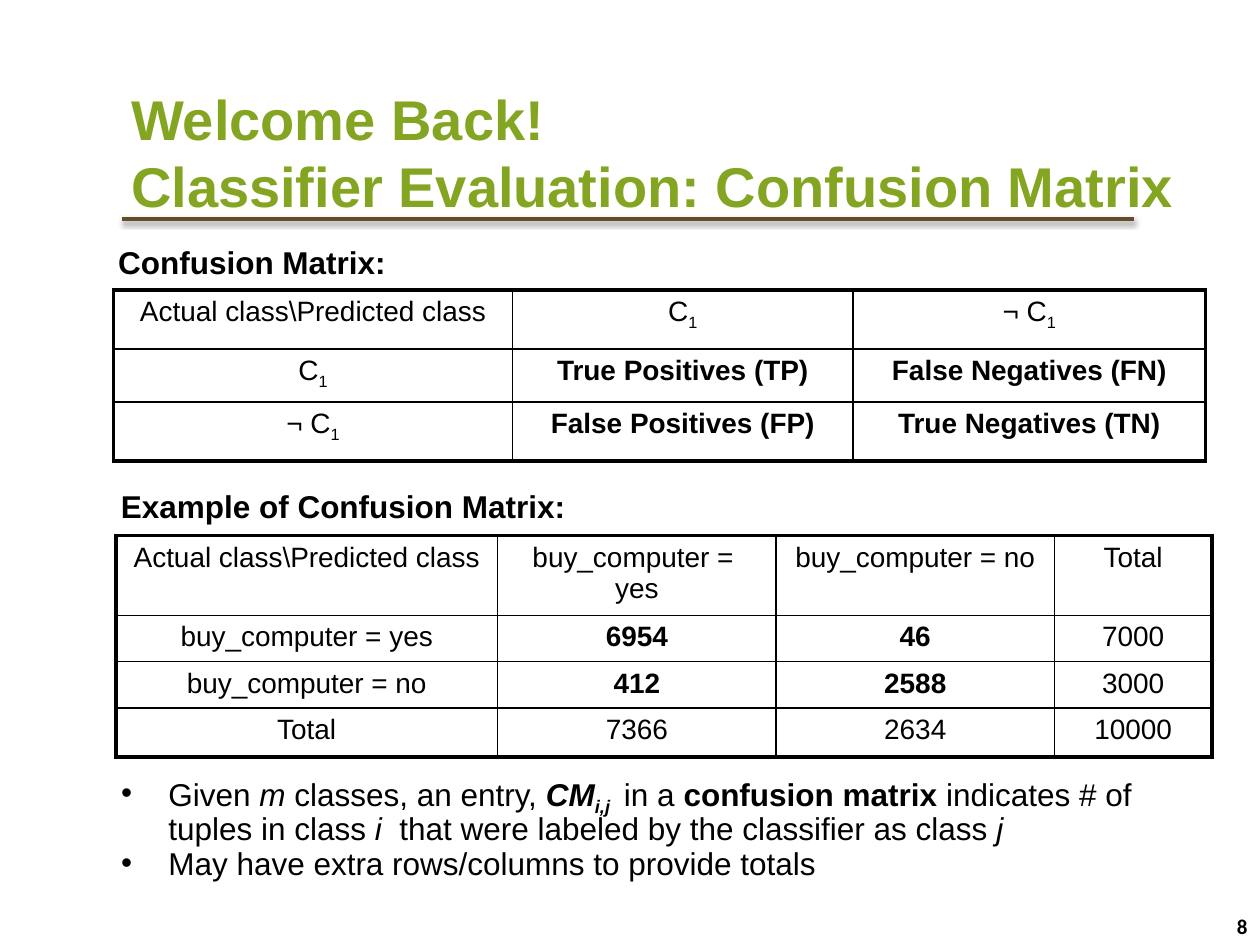
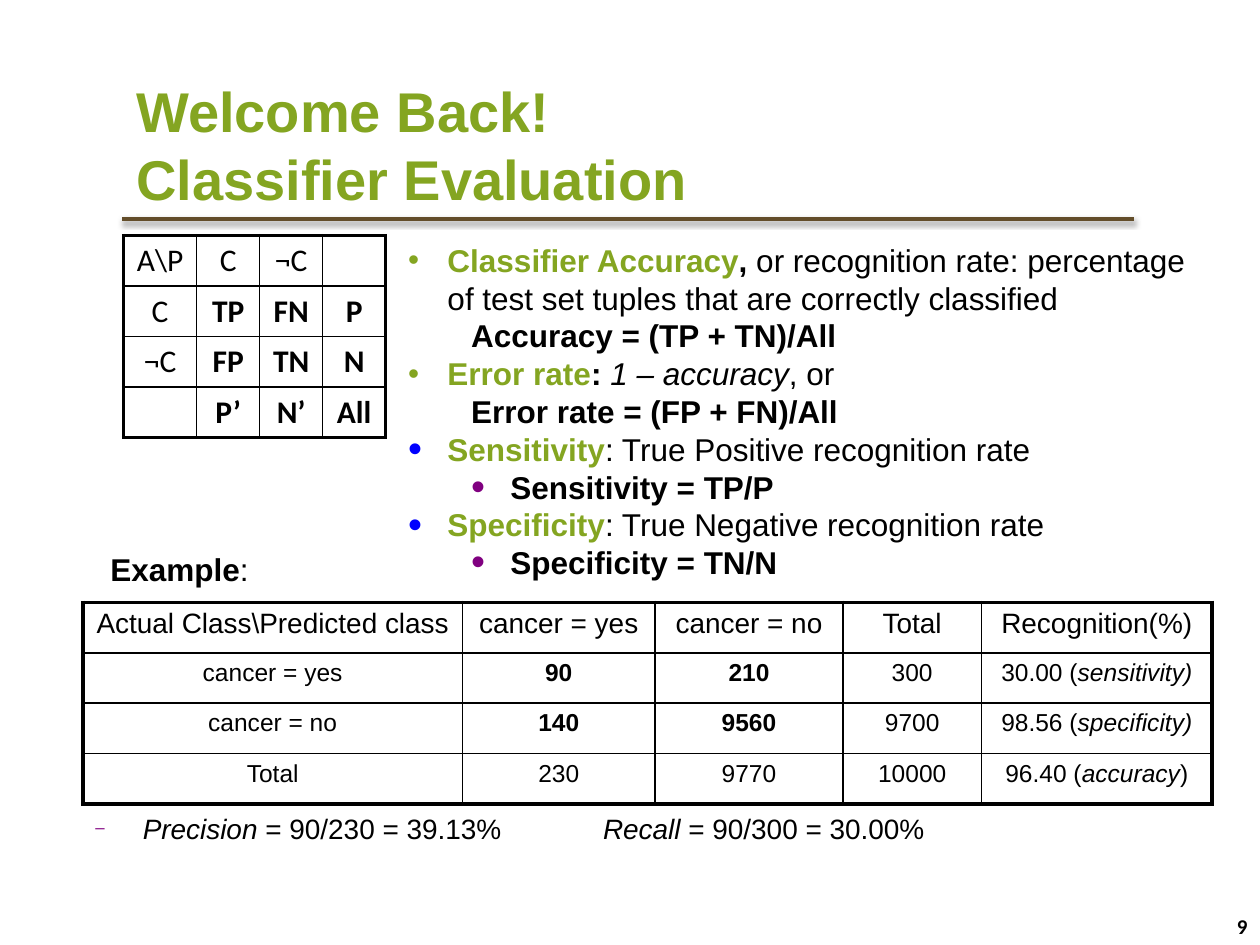
"""Build two slides on confusion matrices and classifier evaluation."""
from lxml import etree
from pptx import Presentation
from pptx.dml.color import RGBColor
from pptx.enum.shapes import MSO_CONNECTOR
from pptx.enum.text import MSO_ANCHOR, MSO_AUTO_SIZE, PP_ALIGN
from pptx.oxml.ns import qn
from pptx.util import Pt

GREEN = RGBColor(0x84, 0xA5, 0x21)
BROWN = RGBColor(0x63, 0x4D, 0x2A)
BLACK = RGBColor(0, 0, 0)
BLUE = RGBColor(0, 0, 0xFF)
PURPLE = RGBColor(0x80, 0, 0x80)
THIN, THICK = 1, 2.25


def add_runs(paragraph, runs, size, font="Arial"):
    """Add (text, style) runs; style letters: b bold, i italic, s subscript, g green."""
    for text, style in runs:
        run = paragraph.add_run()
        run.text = text
        run.font.name = font
        run.font.size = Pt(size)
        run.font.bold = "b" in style
        run.font.italic = "i" in style
        run.font.color.rgb = GREEN if "g" in style else BLACK
        if "s" in style:
            run.font._element.set("baseline", "-25000")


def add_matrix(slide, left, top, widths, heights, rows, core=2, sizes=(16, 16), font="Arial"):
    """Add a ruled table with a heavy frame and a bold core of core x core cells."""
    frame = slide.shapes.add_table(len(rows), len(widths), Pt(left), Pt(top),
                                   Pt(sum(widths)), Pt(sum(heights)))
    table = frame.table
    table.first_row = table.horz_banding = False
    for column, width in zip(table.columns, widths):
        column.width = Pt(width)
    for r, (height, row) in enumerate(zip(heights, rows)):
        table.rows[r].height = Pt(height)
        for c, content in enumerate(row):
            cell = table.cell(r, c)
            paragraph = cell.text_frame.paragraphs[0]
            paragraph.alignment = PP_ALIGN.CENTER
            bold = "b" if 1 <= r <= core and 1 <= c <= core else ""
            runs = [(content, bold)] if isinstance(content, str) else content
            if content:
                add_runs(paragraph, runs, sizes[r > 0], font)
            properties = cell._tc.get_or_add_tcPr()
            edges = {"a:lnL": c == 0, "a:lnR": c == len(widths) - 1,
                     "a:lnT": r == 0, "a:lnB": r == len(rows) - 1}
            for tag, outer in edges.items():
                border = etree.SubElement(properties, qn(tag), w=str(Pt(THICK if outer else THIN)))
                fill = etree.SubElement(border, qn("a:solidFill"))
                etree.SubElement(fill, qn("a:srgbClr"), val=str(BLACK))
            cell.fill.background()


presentation = Presentation()
presentation.slide_width, presentation.slide_height = Pt(720), Pt(540)
layout = presentation.slide_layouts[1]
matrix_slide = presentation.slides.add_slide(layout)
measures_slide = presentation.slides.add_slide(layout)

title_rule = matrix_slide.shapes.add_connector(
    MSO_CONNECTOR.STRAIGHT, Pt(70), Pt(125.3), Pt(648), Pt(125.3))
title_rule.line.color.rgb = BROWN
title_rule.line.width = Pt(2)
effects = etree.SubElement(title_rule.element.spPr, qn("a:effectLst"))
shadow = etree.SubElement(effects, qn("a:outerShdw"), blurRad=str(Pt(3.1)), dist=str(Pt(1.6)),
                          dir="5400000", rotWithShape="0")
shadow_colour = etree.SubElement(shadow, qn("a:srgbClr"), val=str(BLACK))
etree.SubElement(shadow_colour, qn("a:alpha"), val="38000")
layout.shapes.element.append(title_rule.element)

headings = [
    (matrix_slide, "Classifier Evaluation: Confusion Matrix", (67.7, 52.6, 634.3, 67.7), "8"),
    (measures_slide, "Classifier Evaluation", (70.6, 37.4, 613.4, 90), "9"),
]
for slide, topic, box, number in headings:
    title = slide.shapes.title
    title.left, title.top, title.width, title.height = map(Pt, box)
    title.text_frame.auto_size = MSO_AUTO_SIZE.NONE
    title.text_frame.vertical_anchor = MSO_ANCHOR.MIDDLE
    heading = title.text_frame.paragraphs[0]
    heading.alignment = PP_ALIGN.LEFT
    add_runs(heading, [("Welcome Back!", "bg")], 32)
    heading.add_line_break()
    add_runs(heading, [(topic, "bg")], 32)

    page_number = slide.shapes.add_textbox(Pt(570), Pt(510), Pt(150), Pt(30)).text_frame
    page_number.word_wrap = True
    page_number.vertical_anchor = MSO_ANCHOR.BOTTOM
    page_number.paragraphs[0].alignment = PP_ALIGN.RIGHT
    add_runs(page_number.paragraphs[0], [(number, "b")], 12, "Calibri")

captions = [
    (matrix_slide, (60.5, 135.4, 205, 29), [("Confusion Matrix:", "b")]),
    (matrix_slide, (62, 275, 323, 29), [("Example of Confusion Matrix:", "b")]),
    (measures_slide, (56, 311, 94, 29), [("Example", "b"), (":", "")]),
]
for slide, box, runs in captions:
    caption = slide.shapes.add_textbox(*map(Pt, box)).text_frame
    caption.word_wrap = True
    add_runs(caption.paragraphs[0], runs, 18)

positive = [("C", ""), ("1", "s")]
negative = [("¬ C", ""), ("1", "s")]
add_matrix(matrix_slide, 64.8, 165.6, [228.2, 194.4, 201.6], [33.8, 30.2, 33.8], [
    ["Actual class\\Predicted class", positive, negative],
    [positive, "True Positives (TP)", "False Negatives (FN)"],
    [negative, "False Positives (FP)", "True Negatives (TN)"],
])
add_matrix(matrix_slide, 66.2, 306, [218.2, 159.1, 159.1, 90], [44.6, 25.2, 25.2, 28.1], [
    ["Actual class\\Predicted class", "buy_computer =  yes", "buy_computer = no", "Total"],
    ["buy_computer = yes", "6954", "46", "7000"],
    ["buy_computer = no", "412", "2588", "3000"],
    ["Total", "7366", "2634", "10000"],
])
add_matrix(measures_slide, 70.6, 134.6, [41.8, 36, 36, 36], [28.8] * 4, [
    ["A\\P", "C", "¬C", ""],
    ["C", "TP", "FN", "P"],
    ["¬C", "FP", "TN", "N"],
    ["", "P’", "N’", "All"],
], core=3, sizes=(18, 18), font="Calibri")
add_matrix(measures_slide, 47.5, 344.2, [216.7, 110.2, 107.3, 79.2, 131.8], [28.8] * 4, [
    ["Actual Class\\Predicted class", "cancer = yes", "cancer = no", "Total", "Recognition(%)"],
    ["cancer = yes", "90", "210", "300", [("30.00 (", ""), ("sensitivity)", "i")]],
    ["cancer = no", "140", "9560", "9700", [("98.56 (", ""), ("specificity)", "i")]],
    ["Total", "230", "9770", "10000", [("96.40 (", ""), ("accuracy", "i"), (")", "")]],
], sizes=(16, 14))

matrix_notes = matrix_slide.placeholders[1]
measures = measures_slide.placeholders[1]
precision_recall = measures_slide.shapes.add_textbox(0, 0, 0, 0)

note = (0, 27, -27, "•", None, 100)
measure = (0, 22.5, -22.5, "•", None, 100)
rate = (0, 22.5, -22.5, "•", BLUE, 127)
formula = (1, 36, 0, None, None, 100)
rate_formula = (1, 58.5, -22.5, "•", PURPLE, 127)
dash = (1, 27, -27, "–", PURPLE, 60)
lists = [
    (matrix_notes, (62, 436.3, 613.4, 74.2), MSO_ANCHOR.MIDDLE, 18, 0.9, [
        (note, [("Given", ""), (" m", "i"), (" classes, an entry, ", ""), ("CM", "bi"),
                ("i,j ", "bis"), (" in a ", ""), ("confusion matrix", "b"),
                (" indicates # of tuples in class ", ""), ("i", "i"),
                ("  that were labeled by the classifier as class ", ""), ("j", "i")]),
        (note, [("May have extra rows/columns to provide totals", "")]),
    ]),
    (measures, (226, 134, 473.8, 184.3), MSO_ANCHOR.TOP, 18, Pt(21.6), [
        (measure, [("Classifier Accuracy", "bg"), (", ", "b"),
                   ("or recognition rate: percentage of test set tuples "
                    "that are correctly classified", "")]),
        (formula, [("Accuracy = (TP + TN)/All", "b")]),
        (measure, [("Error rate", "bg"), (": ", "b"), ("1 – accuracy", "i"), (", or", "")]),
        (formula, [("Error rate = (FP + FN)/All", "b")]),
        (rate, [("Sensitivity", "bg"), (": True Positive recognition rate", "")]),
        (rate_formula, [("Sensitivity = TP/P", "b")]),
        (rate, [("Specificity", "bg"), (": True Negative recognition rate", "")]),
        (rate_formula, [("Specificity = TN/N", "b")]),
    ]),
    (precision_recall, (47.5, 460, 645, 48), MSO_ANCHOR.TOP, 16, 1.0, [
        (dash, [("Precision", "i"), (" = 90/230 = 39.13%\t", ""),
                ("Recall", "i"), (" = 90/300 = 30.00%", "")]),
    ]),
]
for holder, box, anchor, size, spacing, items in lists:
    holder.left, holder.top, holder.width, holder.height = map(Pt, box)
    frame = holder.text_frame
    frame.word_wrap = True
    frame.auto_size = MSO_AUTO_SIZE.NONE
    frame.vertical_anchor = anchor
    for index, ((level, left, hanging, bullet, colour, percent), runs) in enumerate(items):
        paragraph = frame.add_paragraph() if index else frame.paragraphs[0]
        paragraph.level = level
        properties = paragraph._p.get_or_add_pPr()
        properties.set("marL", str(Pt(left)))
        properties.set("indent", str(Pt(hanging)))
        if colour is not None:
            bullet_colour = etree.SubElement(properties, qn("a:buClr"))
            etree.SubElement(bullet_colour, qn("a:srgbClr"), val=str(colour))
        if bullet:
            etree.SubElement(properties, qn("a:buSzPct"), val=str(percent * 1000))
            etree.SubElement(properties, qn("a:buFont"), typeface="Arial")
            etree.SubElement(properties, qn("a:buChar"), char=bullet)
        else:
            etree.SubElement(properties, qn("a:buNone"))
        if any("\t" in text for text, style in runs):
            tabs = etree.SubElement(properties, qn("a:tabLst"))
            etree.SubElement(tabs, qn("a:tab"), pos=str(Pt(290)), algn="l")
        paragraph.line_spacing = spacing
        paragraph.space_before = Pt(0)
        add_runs(paragraph, runs, size)

presentation.save("out.pptx")
